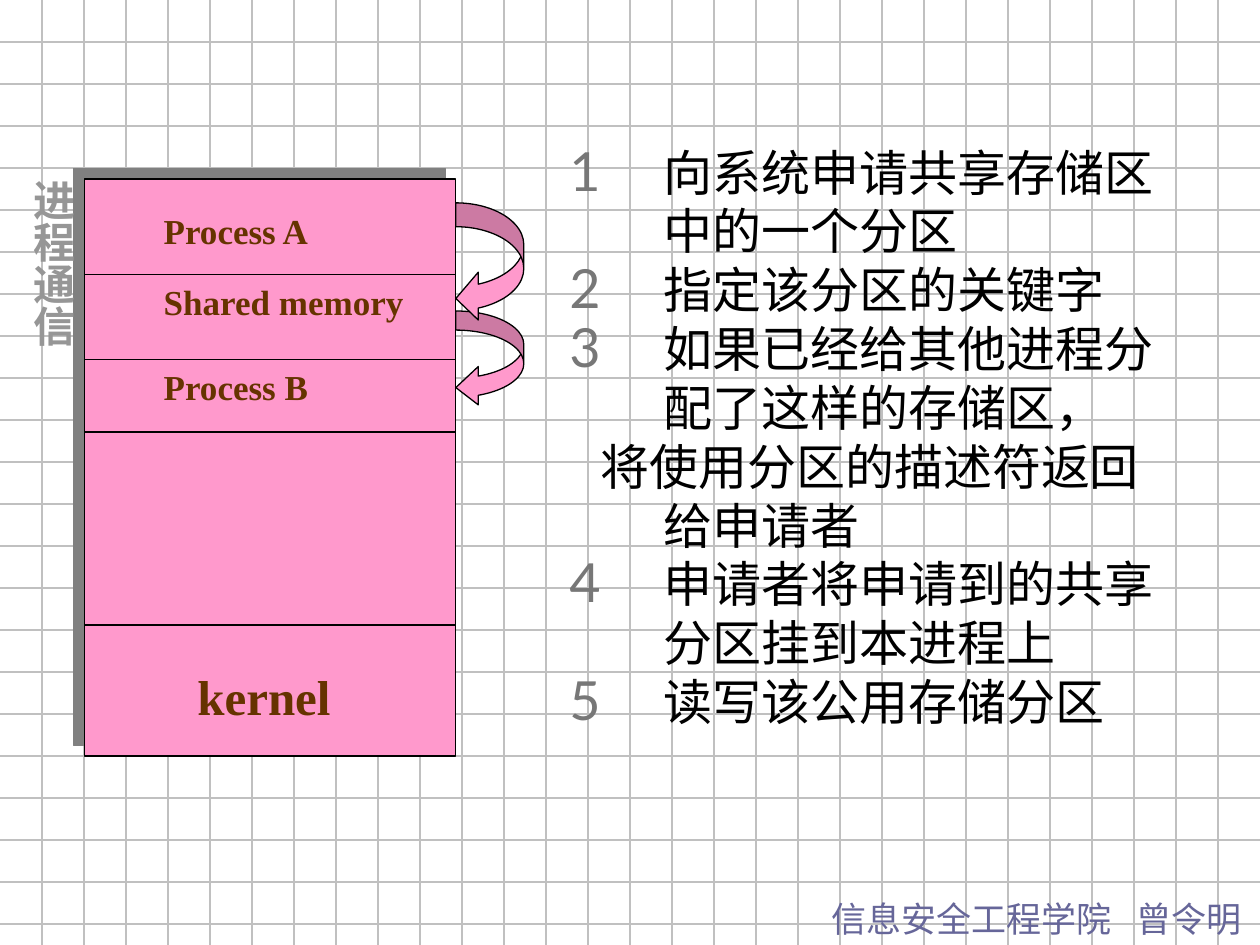
from dataclasses import dataclass

from lxml import etree
from pptx import Presentation
from pptx.dml.color import RGBColor
from pptx.enum import shapes as sh, text as tx
from pptx.oxml import ns
from pptx.util import Cm, Pt

WIDE, HIGH = 25.4, 19.05
STEP = WIDE / 30
LEFT, TOP, SPAN, TALL = 1.7, 3.61, 7.49, 11.63
PINK, BLACK, GREY = "FF99CC", "000000", "C0C0C0"
SANS, SERIF = "Noto Sans CJK JP", "Times New Roman"


@dataclass
class Label:
    words: str
    left: float
    top: float
    width: float
    size: int = 20


@dataclass
class Step:
    words: str
    start: int = 0  # 0 leaves the step without a number
    indent: float = -1.9


LABELS = [
    Label("Process A", 3.05, 4.09, 4.09),
    Label("Process B", 3.05, 7.24, 4.09),
    Label("Shared memory", 3.05, 5.54, 5.46),
    Label("kernel", 3.73, 13.31, 3.4, 28),
]
EDGES = [5.54, 7.24, 8.71, 12.6]
ARROWS = [(6.27, 1.93), (4.09, 2.41)]  # top, height
STEPS = [
    Step("向系统申请共享存储区中的一个分区", 1),
    Step("指定该分区的关键字", 1),
    Step("如果已经给其他进程分配了这样的存储区，", 1),
    Step("将使用分区的描述符返回给申请者", indent=-1.27),
    Step("申请者将申请到的共享分区挂到本进程上", 4),
    Step("读写该公用存储分区", 4),
]


def rgb(code: str) -> RGBColor:
    return RGBColor.from_string(code)


def add(parent, tag: str, **attrs):
    """Append a DrawingML element to parent."""
    return etree.SubElement(parent, ns.qn(tag), attrs)


def line(slide, x1: float, y1: float, x2: float, y2: float, color: str):
    rule = slide.shapes.add_connector(
        sh.MSO_CONNECTOR.STRAIGHT, Cm(x1), Cm(y1), Cm(x2), Cm(y2))
    rule.line.color.rgb = rgb(color)
    rule.line.width = Pt(0.75)
    add(rule._element.spPr, "a:effectLst")


def shape(slide, kind, left: float, top: float, width: float, height: float,
          edge: bool = True):
    item = slide.shapes.add_shape(kind, Cm(left), Cm(top), Cm(width), Cm(height))
    item.shadow.inherit = False
    item.fill.solid()
    item.fill.fore_color.rgb = rgb(PINK)
    if edge:
        item.line.color.rgb = rgb(BLACK)
        item.line.width = Pt(0.75)
    else:
        item.line.fill.background()
    return item


def box(slide, left: float, top: float, width: float, height: float):
    frame = slide.shapes.add_textbox(
        Cm(left), Cm(top), Cm(width), Cm(height)).text_frame
    frame.word_wrap = True
    return frame


def style(para, size: int, name: str, color: str, bold: bool = False):
    for run in para.runs:
        font = run.font
        font.size, font.bold, font.name = Pt(size), bold, name
        font.color.rgb = rgb(color)
        add(run._r.get_or_add_rPr(), "a:ea", typeface=name)


def grid(slide):
    for i in range(1, 23):
        line(slide, 0, i * STEP, WIDE, i * STEP, GREY)
    for i in range(1, 30):
        line(slide, i * STEP, 0, i * STEP, HIGH, GREY)


def footer(slide):
    para = box(slide, 16.51, 17.96, 8.89, 1.12).paragraphs[0]
    para.text = "信息安全工程学院\t曾令明"
    tabs = add(para._p.get_or_add_pPr(), "a:tabLst")
    add(tabs, "a:tab", pos=str(Cm(6.15)), algn="l")
    style(para, 20, SANS, "666699")


def steps(slide):
    frame = box(slide, 11.23, 2.74, 12.9, 14.17)
    for i, step in enumerate(STEPS):
        para = frame.add_paragraph() if i else frame.paragraphs[0]
        para.text = step.words
        props = para._p.get_or_add_pPr()
        props.set("marL", str(Cm(1.9)))
        props.set("indent", str(Cm(step.indent)))
        if step.start:
            add(add(props, "a:buClr"), "a:srgbClr", val="777777")
            add(props, "a:buSzPct", val="110000")
            add(props, "a:buAutoNum", type="arabicPlain", startAt=str(step.start))
        style(para, 28, "Lato", BLACK)


def memory(slide):
    block = shape(slide, sh.MSO_SHAPE.RECTANGLE, LEFT, TOP, SPAN, TALL)
    effects = block._element.spPr.find(ns.qn("a:effectLst"))
    shade = add(effects, "a:outerShdw", dist=str(Pt(8.5)), dir="13500000",
                algn="ctr", rotWithShape="0")
    add(shade, "a:srgbClr", val="808080")
    for label in LABELS:
        item = shape(slide, sh.MSO_SHAPE.RECTANGLE, label.left, label.top,
                     label.width, 1.45, edge=False)
        frame = item.text_frame
        frame.text = label.words
        frame.word_wrap = True
        frame.vertical_anchor = tx.MSO_ANCHOR.TOP
        para = frame.paragraphs[0]
        para.alignment = tx.PP_ALIGN.JUSTIFY
        style(para, label.size, SERIF, "663300", True)
    for y in EDGES:
        line(slide, LEFT, y, LEFT + SPAN, y, BLACK)
    width = 1.37
    for top, height in ARROWS:
        bend = shape(slide, sh.MSO_SHAPE.CURVED_LEFT_ARROW,
                     LEFT + SPAN, top, width, height)
        ratio = height / width
        for i, value in enumerate((0.2 * ratio, 0.4 * ratio, 0.33)):
            bend.adjustments[i] = value


def title(slide):
    frame = box(slide, 0.18, 3.38, 1.52, 11.63)
    frame.margin_left = frame.margin_right = Cm(0.13)
    frame.margin_top = frame.margin_bottom = Cm(0.25)
    frame._txBody.bodyPr.set("vert", "eaVert")
    frame.text = "进程通信"
    para = frame.paragraphs[0]
    para.alignment = tx.PP_ALIGN.CENTER
    style(para, 24, SANS, "969696", True)


def main():
    deck = Presentation()
    deck.slide_width, deck.slide_height = Cm(WIDE), Cm(HIGH)
    slide = deck.slides.add_slide(deck.slide_layouts[6])
    for draw in (grid, footer, steps, memory, title):
        draw(slide)
    deck.save("out.pptx")


if __name__ == "__main__":
    main()
